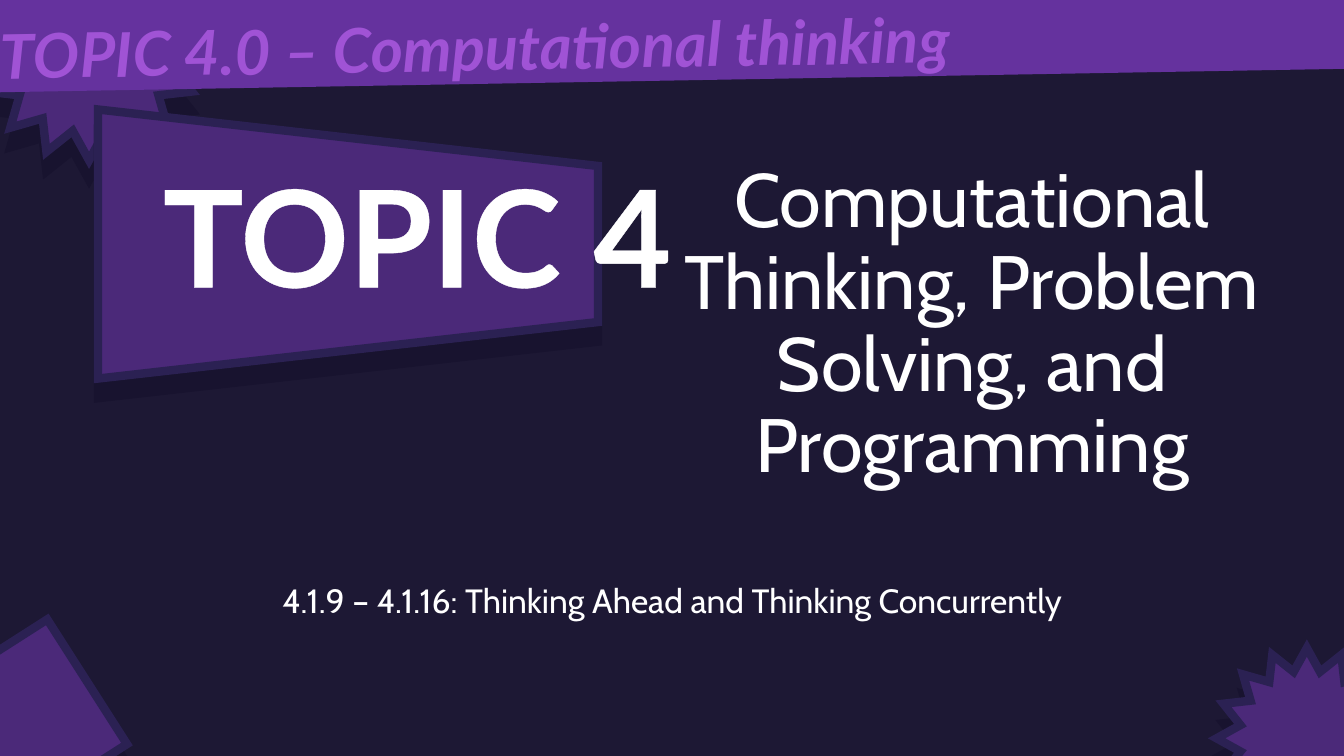
from dataclasses import dataclass

from lxml.etree import SubElement
from pptx import Presentation
from pptx.dml.color import RGBColor
from pptx.enum.shapes import MSO_SHAPE as SHAPE
from pptx.enum.text import MSO_ANCHOR as ANCHOR, PP_ALIGN as ALIGN
from pptx.oxml import parse_xml
from pptx.oxml.ns import nsdecls, qn
from pptx.util import Cm, Pt


@dataclass(frozen=True)
class Theme:
    background: str = "1D1834"
    panel: str = "4B2979"
    edge: str = "2B2153"
    shadow: str = "18132F"
    banner: str = "65329E"
    banner_text: str = "A053D5"
    text: str = "FFFFFF"
    body_font: str = "Cabin"
    display_font: str = "Lato"
    topic_size: int = 96
    title_size: int = 54
    banner_size: int = 44
    subtitle_size: int = 24
    edge_width: int = 6
    shadow_drop: int = 14


def add_text(p, text, *, font, size, color, bold=False, italic=False, outline=None):
    """Add a run; outline is the width in points of a stroke in the text colour."""
    r = p.add_run()
    r.text = text
    f = r.font
    f.name, f.size, f.bold, f.italic = font, Pt(size), bold, italic
    f.color.rgb = RGBColor.from_string(color)
    if outline:
        rpr = r._r.get_or_add_rPr()
        rpr.insert(0, parse_xml(
            f'<a:ln {nsdecls("a")} w="{Pt(outline)}"><a:solidFill>'
            f'<a:srgbClr val="{color}"/></a:solidFill></a:ln>'))


class SlideBuilder:
    def __init__(self, slide, theme):
        self.slide, self.theme = slide, theme
        fill = slide.background.fill
        fill.solid()
        fill.fore_color.rgb = RGBColor.from_string(theme.background)

    def shape(self, kind, box, fill, rotation=0):
        sp = self.slide.shapes.add_shape(kind, *map(Cm, box))
        sp.rotation = rotation
        sp.shadow.inherit = False
        sp.fill.solid()
        sp.fill.fore_color.rgb = RGBColor.from_string(fill)
        sp.line.fill.background()
        return sp

    def panel(self, kind, box, rotation=0):
        """Add an edged shape with a hard shadow straight below it."""
        t = self.theme
        sp = self.shape(kind, box, t.panel, rotation)
        sp.line.color.rgb = RGBColor.from_string(t.edge)
        sp.line.width = Pt(t.edge_width)
        SubElement(sp.line._get_or_add_ln(), qn("a:miter"), lim="800000")
        effects = sp._element.spPr.find(qn("a:effectLst"))
        shadow = SubElement(effects, qn("a:outerShdw"), blurRad="0",
                            dist=str(Pt(t.shadow_drop)), dir="5400000",
                            algn="t", rotWithShape="0")
        SubElement(shadow, qn("a:srgbClr"), val=t.shadow)
        return sp

    def text(self, box, text, *, align=ALIGN.CENTER, anchor=ANCHOR.TOP,
             spacing=1.0, rotation=0, **style):
        sp = self.slide.shapes.add_textbox(*map(Cm, box))
        sp.rotation = rotation
        tf = sp.text_frame
        tf.word_wrap = True
        tf.vertical_anchor = anchor
        p = tf.paragraphs[0]
        p.alignment, p.line_spacing = align, spacing
        add_text(p, text, **style)


def main():
    prs = Presentation()
    prs.slide_width, prs.slide_height = Cm(33.87), Cm(19.05)
    theme = Theme()
    s = SlideBuilder(prs.slides.add_slide(prs.slide_layouts[6]), theme)
    body = dict(font=theme.body_font, color=theme.text, spacing=0.9)

    s.panel(SHAPE.STAR_16_POINT, (-0.56, -1.57, 5.61, 5.61))
    s.text((16.43, 4.6, 16.13, 7.85),
           "Computational Thinking, Problem Solving, and Programming",
           anchor=ANCHOR.BOTTOM, size=theme.title_size, **body)
    s.text((4.24, 14.61, 25.4, 1.98),
           "4.1.9 – 4.1.16: Thinking Ahead and Thinking Concurrently",
           size=theme.subtitle_size, **body)

    s.shape(SHAPE.RECTANGLE, (-0.56, -1.73, 35.2, 3.76), theme.banner, rotation=359)
    s.text((-0.25, -0.03, 40.31, 2.13), "TOPIC 4.0 – Computational thinking",
           align=ALIGN.LEFT, rotation=359, font=theme.display_font,
           size=theme.banner_size, color=theme.banner_text,
           bold=True, italic=True, outline=1.5)

    topic_panel = s.panel(SHAPE.TRAPEZOID, (5.38, -0.15, 6.78, 12.6), rotation=90)
    topic_panel.adjustments[0] = 0.21
    s.text((1.5, 3.73, 18.03, 4.37), "TOPIC 4", font=theme.display_font,
           size=theme.topic_size, color=theme.text, bold=True, outline=3)

    s.panel(SHAPE.RECTANGLE, (-1.45, 16.38, 3.96, 3.73), rotation=327.4)
    s.panel(SHAPE.STAR_16_POINT, (30.66, 16.33, 4.55, 4.55))
    prs.save("out.pptx")


if __name__ == "__main__":
    main()
